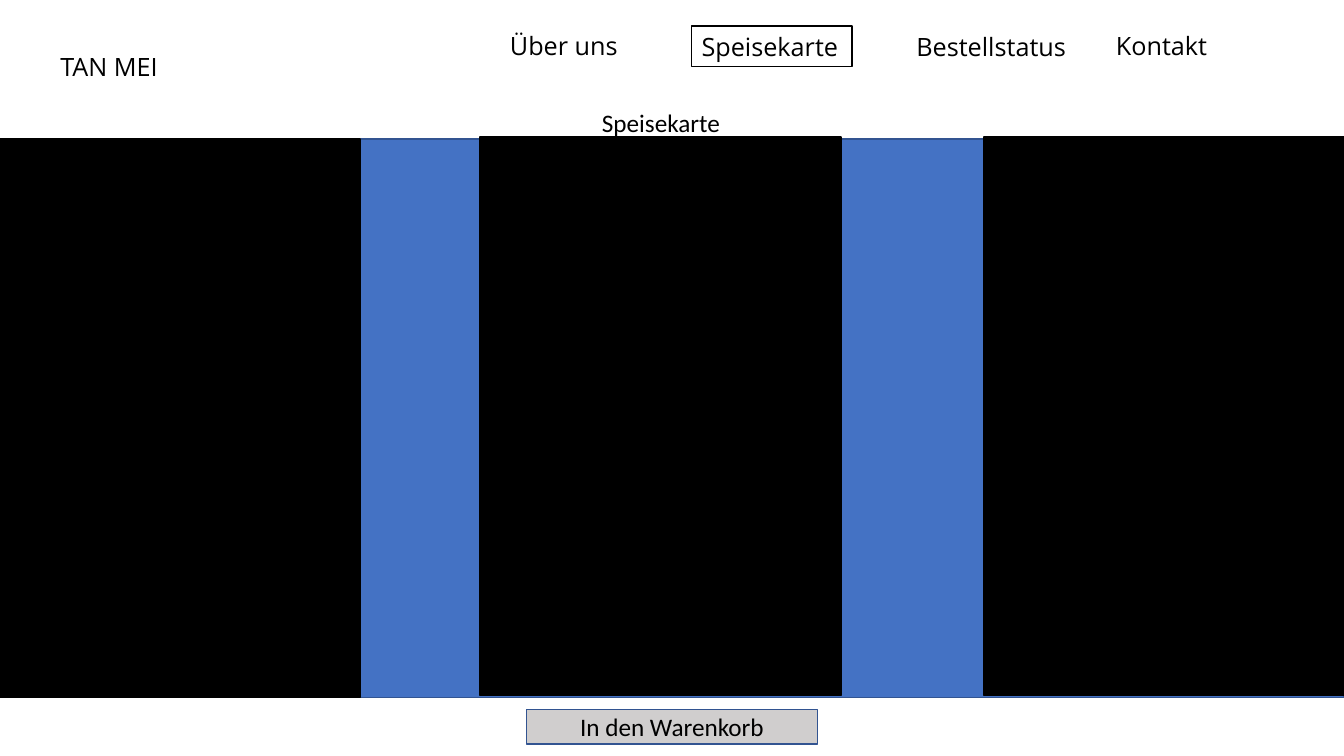
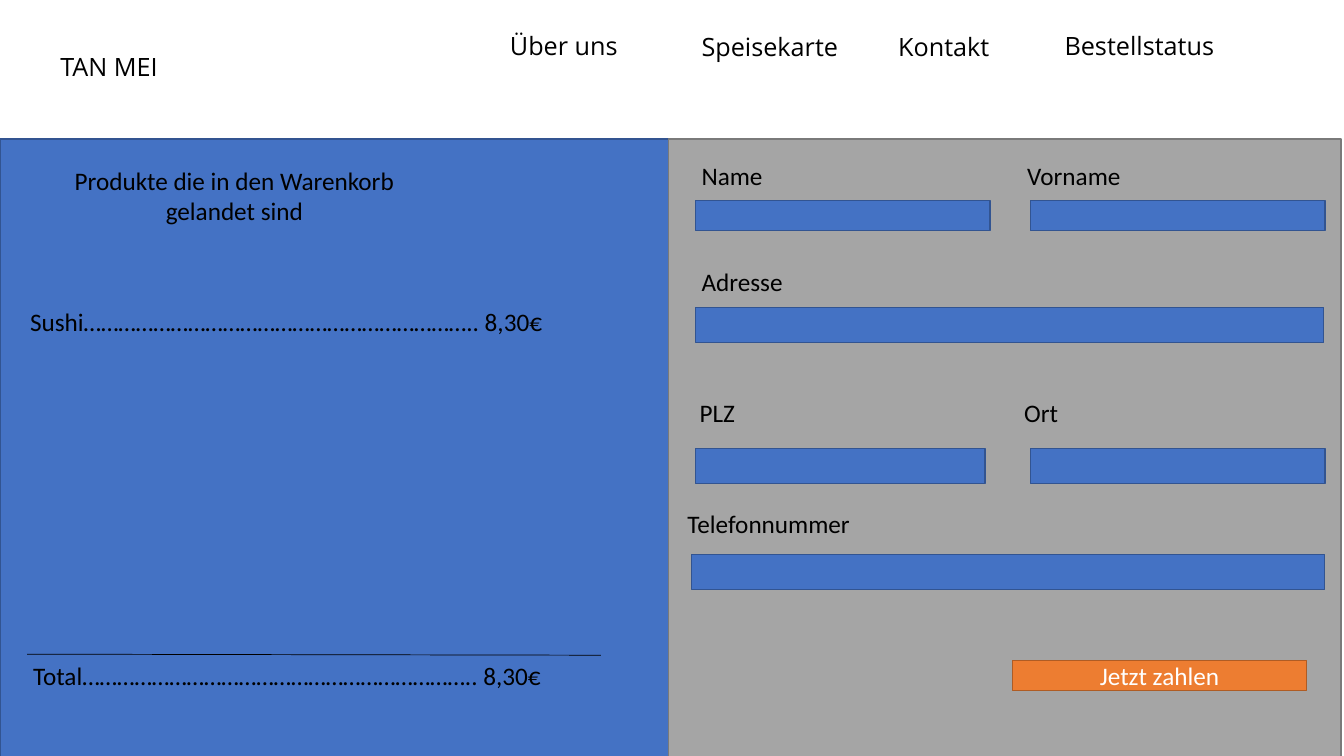
from dataclasses import dataclass

from lxml import etree
from pptx import Presentation
from pptx.dml.color import RGBColor
from pptx.enum.shapes import MSO_CONNECTOR, MSO_SHAPE
from pptx.enum.text import MSO_ANCHOR, MSO_AUTO_SIZE, PP_ALIGN
from pptx.oxml.ns import qn
from pptx.util import Inches, Pt

RECT = MSO_SHAPE.RECTANGLE
STRAIGHT = MSO_CONNECTOR.STRAIGHT
FIXED = MSO_AUTO_SIZE.NONE
LEFT, CENTER = PP_ALIGN.LEFT, PP_ALIGN.CENTER
TOP, MIDDLE = MSO_ANCHOR.TOP, MSO_ANCHOR.MIDDLE
TITLE_ONLY = 5


@dataclass(frozen=True)
class Theme:
    """Colours, fonts and sizes shared by the slides."""
    black: str = "000000"
    white: str = "FFFFFF"
    blue: str = "4472C4"
    blue_line: str = "325491"
    gray: str = "A5A5A5"
    gray_line: str = "7A7A7A"
    button: str = "D0CECE"
    orange: str = "ED7D31"
    orange_line: str = "AF5C24"
    body_font: str = "Calibri"
    nav_font: str = "Open Sans"
    size: float = 18
    line: float = 1
    thin: float = 0.5
    row: float = 0.4
    content_top: float = 1.38


def color(value):
    """Turn a hex string into a colour."""
    return RGBColor.from_string(value)


def box(*lengths):
    """Turn numbers into lengths in inches."""
    return [Inches(n) for n in lengths]


class Page:
    """Holds the theme and the current slide, and draws its elements."""

    def __init__(self, prs, theme):
        """Keep the presentation and the theme."""
        self.prs, self.t, self.s = prs, theme, None

    def new(self, nav):
        """Start a slide with the site name and its navigation."""
        layout = self.prs.slide_layouts[TITLE_ONLY]
        self.s = self.prs.slides.add_slide(layout)
        self.text("TAN MEI", 0.5, 0.46, 1.44, font=self.t.nav_font)
        for label, x, y, w in nav:
            self.text(label, x, y, w, font=self.t.nav_font)

    def set_text(self, sp, text, font, ink, align, anchor):
        """Fill a shape with one paragraph of text."""
        tf = sp.text_frame
        tf.word_wrap = True
        tf.auto_size = FIXED
        tf.vertical_anchor = anchor
        p = tf.paragraphs[0]
        p.text = text
        p.alignment = align
        p.font.name = font
        p.font.size = Pt(self.t.size)
        p.font.color.rgb = color(ink)

    def title(self, text, x, y, w, h):
        """Place the title in front of what is drawn so far."""
        sp = self.s.shapes.title
        sp.left, sp.top, sp.width, sp.height = box(x, y, w, h)
        self.set_text(sp, text, self.t.body_font, self.t.black, CENTER, TOP)
        sp.element.getparent().append(sp.element)

    def text(self, text, x, y, w, font=None):
        """Add a one-line text box."""
        sp = self.s.shapes.add_textbox(*box(x, y, w, self.t.row))
        self.set_text(sp, text, font or self.t.body_font, self.t.black,
                      LEFT, TOP)

    def rect(self, x, y, w, h, fill, line):
        """Add an outlined rectangle and return it."""
        sp = self.s.shapes.add_shape(RECT, *box(x, y, w, h))
        sp.shadow.inherit = False
        sp.fill.solid()
        sp.fill.fore_color.rgb = color(fill)
        sp.line.color.rgb = color(line)
        sp.line.width = Pt(self.t.line)
        return sp

    def button(self, text, x, y, w, h, fill, line, ink):
        """Add a rectangle with a centred caption."""
        sp = self.rect(x, y, w, h, fill, line)
        self.set_text(sp, text, self.t.body_font, ink, CENTER, MIDDLE)

    def active_tab(self, text, x, y, w):
        """Add the framed navigation entry of the open page."""
        sp = self.rect(x, y, w, self.t.row, self.t.white, self.t.black)
        self.set_text(sp, text, self.t.nav_font, self.t.black, LEFT, TOP)

    def rule(self, x1, y1, x2, y2):
        """Add a thin line."""
        sp = self.s.shapes.add_connector(STRAIGHT, *box(x1, y1, x2, y2))
        sp.line.color.rgb = color(self.t.black)
        sp.line.width = Pt(self.t.thin)
        etree.SubElement(sp.element.spPr, qn("a:effectLst"))

    def price(self, item, amount, x, y):
        """Add an item with a dotted leader and its price."""
        self.text(f"{item}{'…' * 22}.. {amount}", x, y, 6.2)


def menu_slide(page):
    """Build the menu page."""
    t = page.t
    page.new([("Über uns", 4.96, 0.25, 1.44),
              ("Bestellstatus", 8.99, 0.26, 1.85),
              ("Kontakt", 10.97, 0.25, 1.44)])
    page.active_tab("Speisekarte", 6.86, 0.26, 1.59)
    page.rect(0, t.content_top, 13.33, 5.54, t.blue, t.blue_line)
    page.title("Speisekarte", 3.57, 1.01, 5.97, 0.71)
    for x, y in [(-0.01, t.content_top), (4.76, 1.36), (9.76, 1.36)]:
        page.rect(x, y, 3.58, 5.54, t.black, t.black)
    page.button("In den Warenkorb", 5.22, 7.04, 2.89, 0.34,
                t.button, t.blue_line, t.black)


def checkout_slide(page):
    """Build the checkout page with the cart and the address form."""
    t = page.t
    page.new([("Über uns", 4.96, 0.25, 1.44),
              ("Speisekarte", 6.86, 0.26, 1.59),
              ("Kontakt", 8.81, 0.26, 1.44),
              ("Bestellstatus", 10.46, 0.25, 1.75)])

    page.rect(0, t.content_top, 6.67, 6.72, t.blue, t.blue_line)
    page.title("Produkte die in den Warenkorb gelandet sind",
               0.58, 1.59, 3.49, 0.71)
    page.price("Sushi", "8,30€", 0.2, 2.99)
    page.price("Total", "8,30€", 0.23, 6.5)
    page.rule(0.27, 6.49, 5.96, 6.5)

    page.rect(6.63, t.content_top, 6.67, 6.72, t.gray, t.gray_line)
    # label, label left, label top, field left, field top, width, height
    fields = [("Name", 6.86, 1.54, 6.9, 1.99, 2.92, 0.3),
              ("Vorname", 10.09, 1.54, 10.22, 1.99, 2.92, 0.3),
              ("Adresse", 6.86, 2.59, 6.9, 3.05, 6.23, 0.35),
              ("PLZ", 6.84, 3.89, 6.9, 4.45, 2.87, 0.35),
              ("Ort", 10.06, 3.89, 10.22, 4.45, 2.92, 0.35),
              ("Telefonnummer", 6.72, 4.99, 6.86, 5.5, 6.28, 0.35)]
    for label, label_x, label_y, *field in fields:
        page.text(label, label_x, label_y, 2.4)
        page.rect(*field, t.blue, t.blue_line)
    page.button("Jetzt zahlen", 10.04, 6.55, 2.92, 0.3,
                t.orange, t.orange_line, t.white)


def main():
    """Build and save the presentation."""
    prs = Presentation()
    prs.slide_width, prs.slide_height = box(13.33, 7.5)
    page = Page(prs, Theme())
    menu_slide(page)
    checkout_slide(page)
    prs.save("out.pptx")


main()
